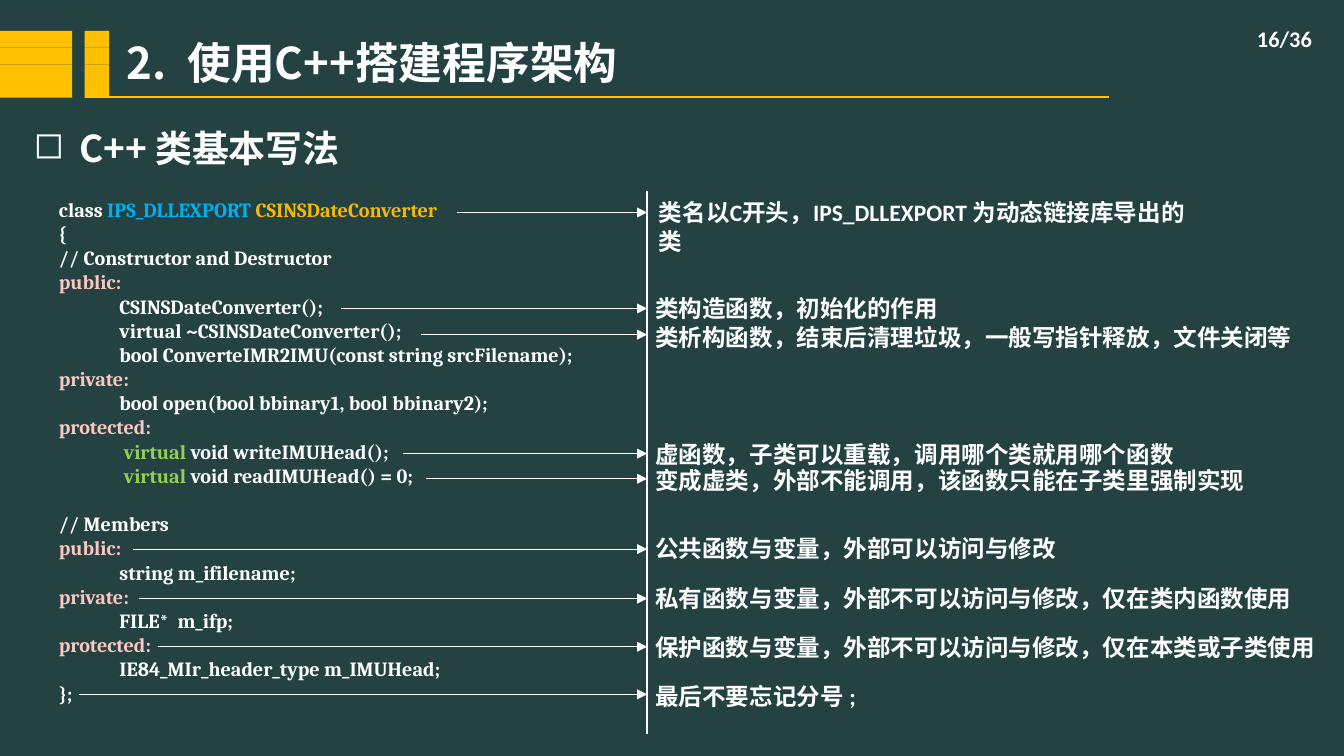
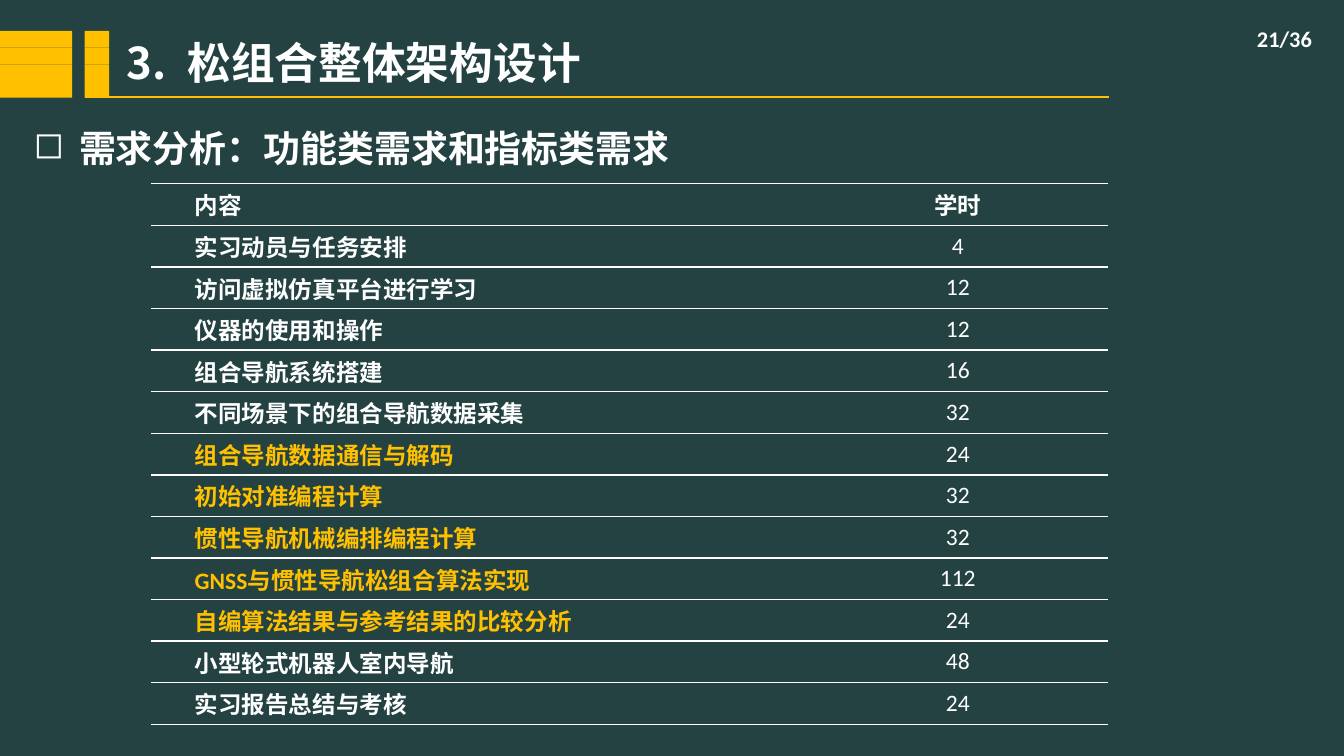
"""Build two course slides: a C++ class walkthrough and a table of teaching hours."""
from lxml.etree import SubElement
from pptx import Presentation
from pptx.dml.color import RGBColor
from pptx.enum.shapes import MSO_CONNECTOR, MSO_SHAPE
from pptx.enum.text import MSO_ANCHOR, PP_ALIGN
from pptx.oxml import parse_xml
from pptx.oxml.ns import nsdecls, qn
from pptx.util import Pt

rgb = RGBColor.from_string
WHITE, GOLD, PINK, GREEN = "FFFFFF", "FFC000", "FBC7C1", "92D050"
CJK = "Noto Sans CJK SC"


def write(tf, text, size=14, font="Calibri", color=WHITE, bold=True, align=None,
          anchor=None, inset=None, left=0, indent=0, tab=None, bullet=None):
    """Fill a text frame from a string, or from a list of paragraphs made of (text, colour) runs."""
    tf.word_wrap = True
    if anchor is not None:
        tf.vertical_anchor = anchor
    if inset is not None:
        tf.margin_left = tf.margin_right = tf.margin_top = tf.margin_bottom = Pt(inset)
    for i, runs in enumerate([text] if isinstance(text, str) else text):
        p = tf.add_paragraph() if i else tf.paragraphs[0]
        p.alignment = align
        pPr = p._p.get_or_add_pPr()
        pPr.set("marL", str(Pt(left)))
        pPr.set("indent", str(Pt(indent)))
        if bullet:
            SubElement(pPr, qn("a:buChar")).set("char", bullet)
        if tab:
            stop = SubElement(SubElement(pPr, qn("a:tabLst")), qn("a:tab"))
            stop.set("pos", str(Pt(tab)))
            stop.set("algn", "l")
        for part, c in [(runs, color)] if isinstance(runs, str) else runs:
            r = p.add_run()
            r.text = part
            r.font.size, r.font.bold, r.font.name = Pt(size), bold, font
            r.font.color.rgb = rgb(c)
            SubElement(r._r.get_or_add_rPr(), qn("a:ea")).set("typeface", CJK)


def line(s, x1, y1, x2, y2, color=WHITE, width=0.75, arrow=False):
    """Draw a straight line, with an arrowhead at its end if asked."""
    c = s.shapes.add_connector(MSO_CONNECTOR.STRAIGHT, Pt(x1), Pt(y1), Pt(x2), Pt(y2))
    c.line.color.rgb = rgb(color)
    c.line.width = Pt(width)
    if arrow:
        SubElement(c.line._get_or_add_ln(), qn("a:tailEnd")).set("type", "triangle")
    SubElement(c._element.spPr, qn("a:effectLst"))


prs = Presentation()
prs.slide_width, prs.slide_height = Pt(800), Pt(450)
fill = prs.slide_master.background.fill
fill.solid()
fill.fore_color.rgb = rgb("244242")

heads = [
    ("2.\t使用C++搭建程序架构", "C++ 类基本写法", "16/36"),
    ("3.\t松组合整体架构设计", "需求分析：功能类需求和指标类需求", "21/36"),
]
for title, topic, page in heads:
    s = prs.slides.add_slide(prs.slide_layouts[6])
    for x, w in [(0, 43), (50.4, 14.6)]:
        for row in range(4):
            band = s.shapes.add_shape(MSO_SHAPE.RECTANGLE, Pt(x), Pt(18.4 + 9.95 * row), Pt(w), Pt(9.95))
            band.shadow.inherit = False
            band.fill.solid()
            band.fill.fore_color.rgb = rgb(GOLD)
            band.line.fill.background()
    line(s, 50.4, 57.7, 660, 57.7, GOLD, 1.25)
    tb = s.shapes.add_textbox(Pt(604), Pt(11), Pt(184), Pt(24))
    write(tb.text_frame, page, size=13.3, align=PP_ALIGN.RIGHT, anchor=MSO_ANCHOR.MIDDLE)
    tb = s.shapes.add_textbox(Pt(75.6), Pt(21), Pt(556), Pt(32))
    write(tb.text_frame, title, size=26, font=CJK, anchor=MSO_ANCHOR.MIDDLE, inset=0, tab=41.7)
    tb = s.shapes.add_textbox(Pt(13), Pt(68), Pt(767), Pt(40))
    write(tb.text_frame, topic, size=22, font=CJK, anchor=MSO_ANCHOR.MIDDLE,
          left=27, indent=-27, bullet="◻")

s = prs.slides[0]
code = [
    [("class ", WHITE), ("IPS_DLLEXPORT ", "00B0F0"), ("CSINSDateConverter", "F2B90A")],
    "{",
    "// Constructor and Destructor",
    "public:",
    "\tCSINSDateConverter();",
    "\tvirtual ~CSINSDateConverter();",
    "\tbool ConverteIMR2IMU(const string srcFilename);",
    "private:",
    "\tbool open(bool bbinary1, bool bbinary2);",
    "protected:",
    [("\t ", WHITE), ("virtual ", GREEN), ("void writeIMUHead();", WHITE)],
    [("\t ", WHITE), ("virtual", GREEN), (" void readIMUHead() = 0;", WHITE)],
    "// Members",
    "public:",
    "\tstring m_ifilename;",
    "private:",
    "\tFILE*  m_ifp;",
    "protected:",
    "\tIE84_MIr_header_type m_IMUHead;",
    "};",
]
code = [[(t, PINK if t.endswith(":") else WHITE)] if isinstance(t, str) else t for t in code]
tf = s.shapes.add_textbox(Pt(28), Pt(113.8), Pt(489), Pt(312.5)).text_frame
write(tf, code, size=12, font="Cambria", tab=36)
tf.paragraphs[12].space_before = Pt(14.4)

AXIS = 385.2
line(s, AXIS, 113.8, AXIS, 437, width=1.5)
notes = [
    ("类名以C开头，IPS_DLLEXPORT 为动态链接库导出的类", 272, 126.5, 385.2, 114.5, 340.6),
    ("类构造函数，初始化的作用", 203, 183.6, 383, 171.4, 425),
    ("类析构函数，结束后清理垃圾，一般写指针释放，文件关闭等", 250.5, 199.2, 383, 188.6, 425),
    ("虚函数，子类可以重载，调用哪个类就用哪个函数", 240, 270, 383, 258.5, 425),
    ("变成虚类，外部不能调用，该函数只能在子类里强制实现", 253.4, 285, 383, 273.6, 425),
    ("公共函数与变量，外部可以访问与修改", 79.2, 326.9, 383, 314.6, 425),
    ("私有函数与变量，外部不可以访问与修改，仅在类内函数使用", 82.8, 356.3, 383, 344.2, 425),
    ("保护函数与变量，外部不可以访问与修改，仅在本类或子类使用", 94.3, 385, 383, 373, 425),
    ("最后不要忘记分号 ;", 46.8, 413.3, 383, 402.5, 425),
]
for text, start, y, x, top, w in notes:
    line(s, start, y, AXIS, y, arrow=True)
    write(s.shapes.add_textbox(Pt(x), Pt(top), Pt(w), Pt(24.5)).text_frame, text)

s = prs.slides[1]
hours = [
    ("内容", "学时"),
    ("实习动员与任务安排", "4"),
    ("访问虚拟仿真平台进行学习", "12"),
    ("仪器的使用和操作", "12"),
    ("组合导航系统搭建", "16"),
    ("不同场景下的组合导航数据采集", "32"),
    ("组合导航数据通信与解码", "24"),
    ("初始对准编程计算", "32"),
    ("惯性导航机械编排编程计算", "32"),
    ("GNSS与惯性导航松组合算法实现", "112"),
    ("自编算法结果与参考结果的比较分析", "24"),
    ("小型轮式机器人室内导航", "48"),
    ("实习报告总结与考核", "24"),
]
ROW = 24.76
table = s.shapes.add_table(len(hours), 2, Pt(90), Pt(109.4), Pt(569.4), Pt(ROW * len(hours))).table
table.first_row = table.horz_banding = False
table.columns[0].width, table.columns[1].width = Pt(370), Pt(199.4)
for i, row in enumerate(hours):
    table.rows[i].height = Pt(ROW)
    for j, text in enumerate(row):
        cell = table.cell(i, j)
        cell.vertical_anchor = MSO_ANCHOR.MIDDLE
        cell.margin_left = cell.margin_right = Pt(5)
        cell.margin_top = cell.margin_bottom = Pt(0)
        cell.fill.background()
        write(cell.text_frame, text, color=GOLD if j == 0 and 6 <= i <= 10 else WHITE,
              bold=i == 0 or j == 0, align=PP_ALIGN.CENTER if j else PP_ALIGN.LEFT, indent=20.9)
        for k, side in enumerate(["lnL", "lnR", "lnT", "lnB"]):
            paint = "<a:noFill/>" if k < 2 else f'<a:solidFill><a:srgbClr val="{WHITE}"/></a:solidFill>'
            cell._tc.get_or_add_tcPr().insert(
                k, parse_xml(f'<a:{side} {nsdecls("a")} w="{Pt(1)}">{paint}</a:{side}>'))

prs.save("out.pptx")
